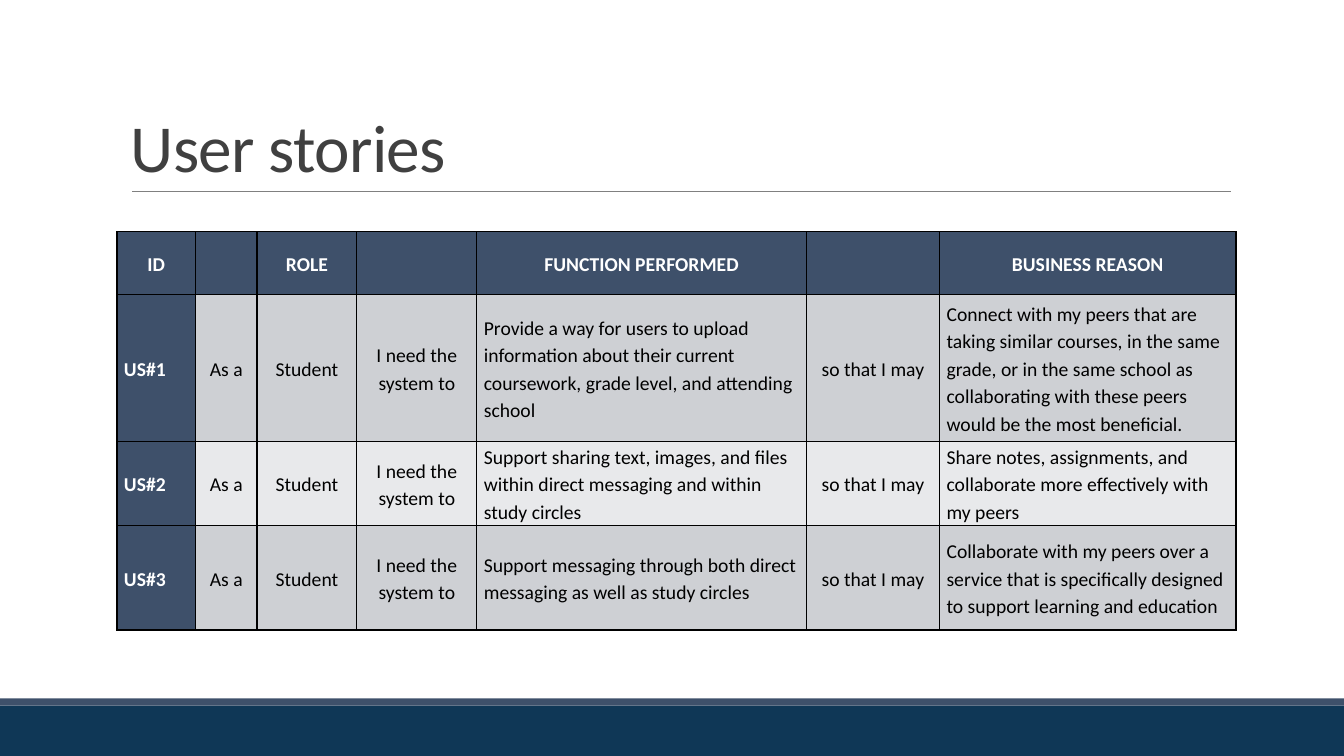
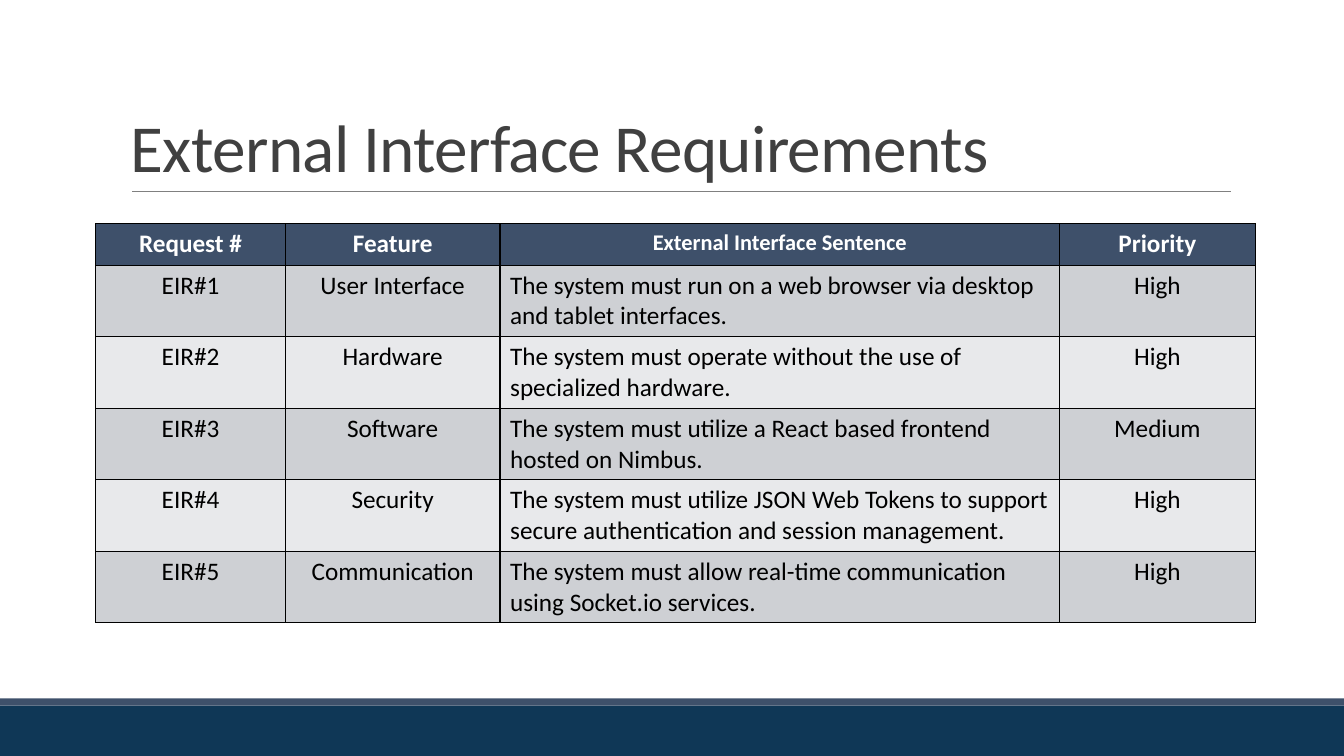
from lxml.etree import SubElement
from pptx import Presentation
from pptx.dml.color import RGBColor
from pptx.enum.shapes import MSO_CONNECTOR, MSO_SHAPE
from pptx.enum.text import MSO_ANCHOR, PP_ALIGN
from pptx.oxml.ns import qn
from pptx.util import Inches, Pt

FONT = "Calibri"
NAVY, SLATE, RULE, TITLE = "0F3756", "3E506A", "808080", "404040"
BANDS = ("CED0D4", "E8E9EB")
WHITE, BLACK = "FFFFFF", "000000"
WIDTH, HEIGHT = 13.33, 7.5

STORY_HEADERS = ["ID", "", "ROLE", "", "FUNCTION PERFORMED", "", "BUSINESS REASON"]
STORIES = [
    ("Provide a way for users to upload information about their current "
     "coursework, grade level, and attending school",
     "Connect with my peers that are taking similar courses, in the same grade, "
     "or in the same school as collaborating with these peers would be the most beneficial."),
    ("Support sharing text, images, and files within direct messaging and within study circles",
     "Share notes, assignments, and collaborate more effectively with my peers"),
    ("Support messaging through both direct messaging as well as study circles",
     "Collaborate with my peers over a service that is specifically designed "
     "to support learning and education"),
]
REQUIREMENT_HEADERS = ["Request #", "Feature", "External Interface Sentence", "Priority"]
REQUIREMENTS = [
    ("User Interface", "The system must run on a web browser via desktop and tablet interfaces.", "High"),
    ("Hardware", "The system must operate without the use of specialized hardware.", "High"),
    ("Software", "The system must utilize a React based frontend hosted on Nimbus.", "Medium"),
    ("Security", "The system must utilize JSON Web Tokens to support secure "
     "authentication and session management.", "High"),
    ("Communication", "The system must allow real-time communication using Socket.io services.", "High"),
]


def rgb(color):
    return RGBColor.from_string(color)


def write(tf, text, size=18, color=BLACK, bold=False, align=PP_ALIGN.LEFT, line=1.0, spacing=0):
    p = tf.paragraphs[0]
    p.alignment = align
    p.line_spacing = line
    r = p.add_run()
    r.text = text
    r.font.name = FONT
    r.font.size = Pt(size)
    r.font.bold = bold
    r.font.color.rgb = rgb(color)
    if spacing:
        r._r.get_or_add_rPr().set("spc", str(int(spacing * 100)))


def add_band(s, top, height, color):
    sp = s.shapes.add_shape(MSO_SHAPE.RECTANGLE, 0, Inches(top), Inches(WIDTH), Inches(height))
    sp.shadow.inherit = False
    sp.fill.solid()
    sp.fill.fore_color.rgb = rgb(color)
    sp.line.fill.background()


def add_rule(s, left, right, top):
    line = s.shapes.add_connector(
        MSO_CONNECTOR.STRAIGHT, Inches(left), Inches(top), Inches(right), Inches(top))
    line.line.color.rgb = rgb(RULE)
    line.line.width = Pt(0.5)
    SubElement(line._element.spPr, qn("a:effectLst"))


def add_titled_slide(prs, title):
    s = prs.slides.add_slide(prs.slide_layouts[6])
    add_band(s, 7, 0.5, NAVY)
    add_band(s, 6.93, 0.07, SLATE)
    add_rule(s, 1.31, 12.21, 1.9)
    tf = s.shapes.add_textbox(Inches(1.2), Inches(0.31), Inches(11), Inches(1.59)).text_frame
    tf.word_wrap = True
    tf.vertical_anchor = MSO_ANCHOR.BOTTOM
    write(tf, title, size=48, color=TITLE, line=0.85, spacing=-0.5)
    return s


def add_borders(cell, color=BLACK, width=1):
    tcPr = cell._tc.get_or_add_tcPr()
    for side in ("lnL", "lnR", "lnT", "lnB"):
        ln = SubElement(tcPr, qn(f"a:{side}"), w=str(Pt(width)))
        fill = SubElement(ln, qn("a:solidFill"))
        SubElement(fill, qn("a:srgbClr"), val=color)


def add_grid(s, left, top, widths, heights, rows, left_columns, size,
             line=1.0, header_sizes=None, id_column=False, compact=False):
    table = s.shapes.add_table(
        len(rows), len(widths), Inches(left), Inches(top),
        Inches(sum(widths)), Inches(sum(heights))).table
    table.horz_banding = False
    for column, width in zip(table.columns, widths):
        column.width = Inches(width)
    for row, height in zip(table.rows, heights):
        row.height = Inches(height)
    for i, row in enumerate(rows):
        for j, text in enumerate(row):
            cell = table.cell(i, j)
            dark = i == 0 or (id_column and j == 0)
            add_borders(cell)
            cell.fill.solid()
            cell.fill.fore_color.rgb = rgb(SLATE if dark else BANDS[(i - 1) % 2])
            if compact:
                cell.vertical_anchor = MSO_ANCHOR.MIDDLE
                cell.margin_left = cell.margin_right = Inches(0.07)
                cell.margin_top = cell.margin_bottom = 0
            if text:
                write(cell.text_frame, text, line=line, bold=dark,
                      size=header_sizes[j] if header_sizes and i == 0 else size,
                      color=WHITE if dark else BLACK,
                      align=PP_ALIGN.LEFT if i and j in left_columns else PP_ALIGN.CENTER)


def add_user_stories(prs):
    s = add_titled_slide(prs, "User stories")
    rows = [STORY_HEADERS] + [
        [f"US#{n}", "As a", "Student", "I need the system to", function, "so that I may", reason]
        for n, (function, reason) in enumerate(STORIES, 1)]
    add_grid(s, 1.16, 2.3, [0.78, 0.61, 0.99, 1.19, 3.27, 1.32, 2.94], [0.62, 1.46, 0.83, 1.04],
             rows, left_columns=(0, 4, 6), size=14, line=1.15, id_column=True, compact=True)


def add_interface_requirements(prs):
    s = add_titled_slide(prs, "External Interface Requirements")
    rows = [REQUIREMENT_HEADERS] + [
        [f"EIR#{n}", *requirement] for n, requirement in enumerate(REQUIREMENTS, 1)]
    add_grid(s, 0.95, 2.22, [1.88, 2.13, 5.55, 1.94], [0.41] + [0.71] * len(REQUIREMENTS),
             rows, left_columns=(2,), size=18, header_sizes=(18, 18, 16, 18))


def main():
    prs = Presentation()
    prs.slide_width = Inches(WIDTH)
    prs.slide_height = Inches(HEIGHT)
    add_user_stories(prs)
    add_interface_requirements(prs)
    prs.save("out.pptx")


if __name__ == "__main__":
    main()
